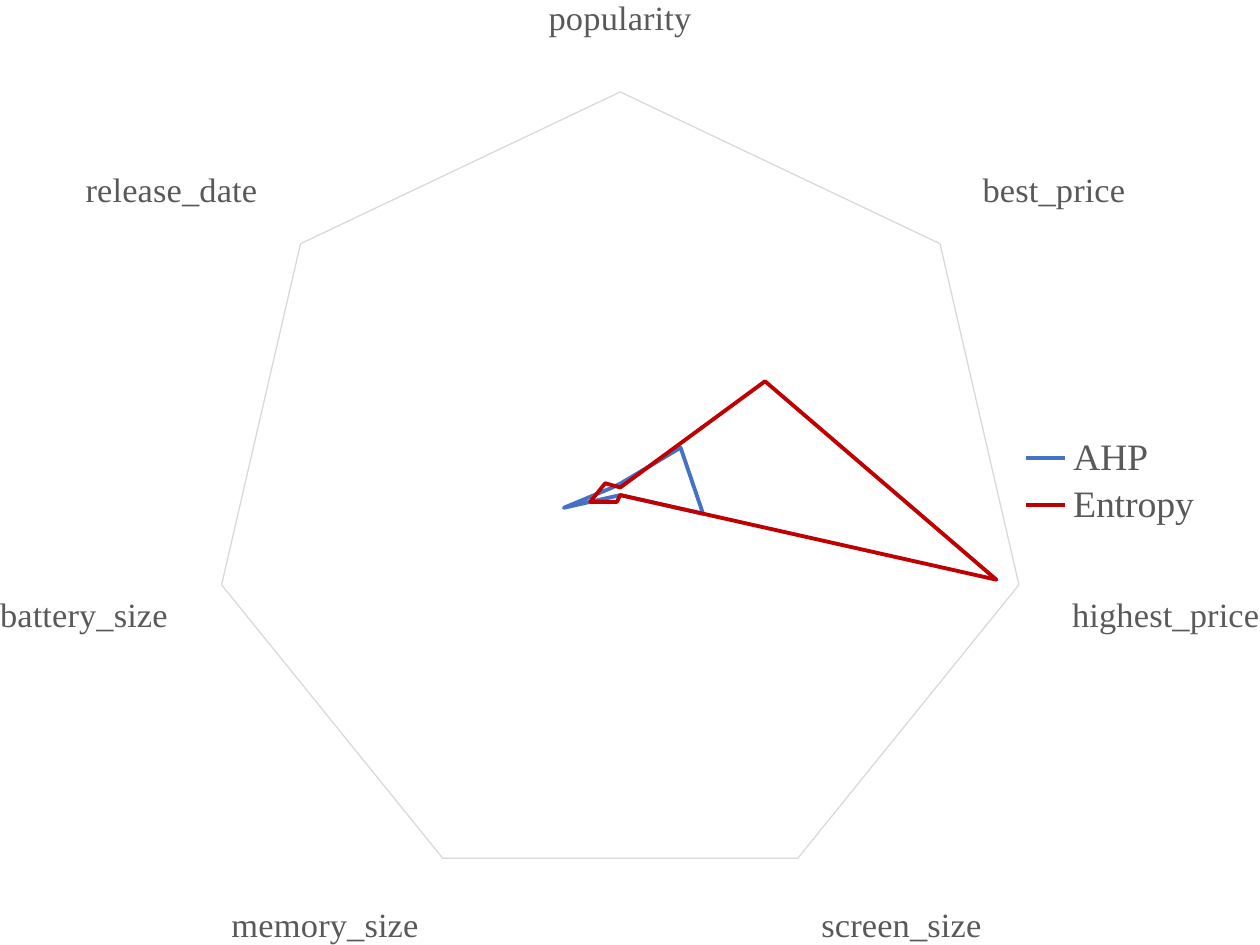
from lxml import etree
from pptx import Presentation
from pptx.chart.data import CategoryChartData
from pptx.dml.color import RGBColor
from pptx.enum.chart import XL_CHART_TYPE as ChartType
from pptx.enum.chart import XL_LEGEND_POSITION as LegendPosition
from pptx.enum.chart import XL_MARKER_STYLE as MarkerStyle
from pptx.enum.chart import XL_TICK_MARK as TickMark
from pptx.oxml.ns import qn
from pptx.util import Inches, Pt

CRITERIA = ["popularity", "best_price", "highest_price", "screen_size",
            "memory_size", "battery_size", "release_date"]
WEIGHTS = [
    ("AHP", "4472C4", [3, 20, 22, 0, 0, 15, 3]),
    ("Entropy", "C00000", [2, 48, 100, 0, 2, 8, 5]),
]
FONT = "Times New Roman"
TEXT, GRID = "595959", "D9D9D9"
AXIS_MAXIMUM = 106
PLOT_BOX = (0.17, 0.08, 0.66, 0.88)
LEGEND_BOX = (0.82, 0.45, 0.15, 0.11)


def set_font(font, size, color):
    font.name = FONT
    font.size = Pt(size)
    font.color.rgb = RGBColor.from_string(color)


def set_line(line, width, color):
    line.width = Pt(width)
    line.color.rgb = RGBColor.from_string(color)


def set_layout(element, box, successors, inner=False):
    for old in element.findall(qn("c:layout")):
        element.remove(old)
    layout = etree.Element(qn("c:layout"))
    manual = etree.SubElement(layout, qn("c:manualLayout"))
    settings = [("layoutTarget", "inner")] if inner else []
    settings += [("xMode", "edge"), ("yMode", "edge")]
    settings += zip("xywh", box)
    for name, value in settings:
        etree.SubElement(manual, qn(f"c:{name}")).set("val", str(value))
    following = [child for child in element
                 if child.tag in [qn(f"c:{name}") for name in successors]]
    following[0].addprevious(layout)


def add_radar(slide, width, height):
    data = CategoryChartData()
    data.categories = CRITERIA
    for name, color, values in WEIGHTS:
        data.add_series(name, values)
    chart = slide.shapes.add_chart(ChartType.RADAR, 0, 0, width, height, data).chart
    chart.has_title = False
    set_font(chart.font, 22, "000000")
    plot = chart.plots[0]
    plot.vary_by_categories = False
    for series, (name, color, values) in zip(plot.series, WEIGHTS):
        series.smooth = False
        series.marker.style = MarkerStyle.NONE
        set_line(series.format.line, 2.25, color)

    category_axis = chart.category_axis
    category_axis.has_major_gridlines = False
    category_axis.major_tick_mark = TickMark.NONE
    set_font(category_axis.tick_labels.font, 20, TEXT)
    set_line(category_axis.format.line, 0.75, GRID)

    value_axis = chart.value_axis
    value_axis.minimum_scale = 0
    value_axis.maximum_scale = AXIS_MAXIMUM
    value_axis.major_unit = AXIS_MAXIMUM
    value_axis.has_major_gridlines = True
    set_line(value_axis.major_gridlines.format.line, 0.75, GRID)
    value_axis.visible = False

    chart.has_legend = True
    legend = chart.legend
    legend.position = LegendPosition.RIGHT
    legend.include_in_layout = False
    set_font(legend.font, 22, TEXT)

    plot_area = chart.element.find(".//" + qn("c:plotArea"))
    set_layout(plot_area, PLOT_BOX, ["radarChart"], inner=True)
    set_layout(chart.element.find(".//" + qn("c:legend")), LEGEND_BOX, ["overlay"])


def main():
    presentation = Presentation()
    presentation.slide_width = Inches(10)
    presentation.slide_height = Inches(7.5)
    slide = presentation.slides.add_slide(presentation.slide_layouts[6])
    add_radar(slide, presentation.slide_width, presentation.slide_height)
    presentation.save("out.pptx")


if __name__ == "__main__":
    main()
